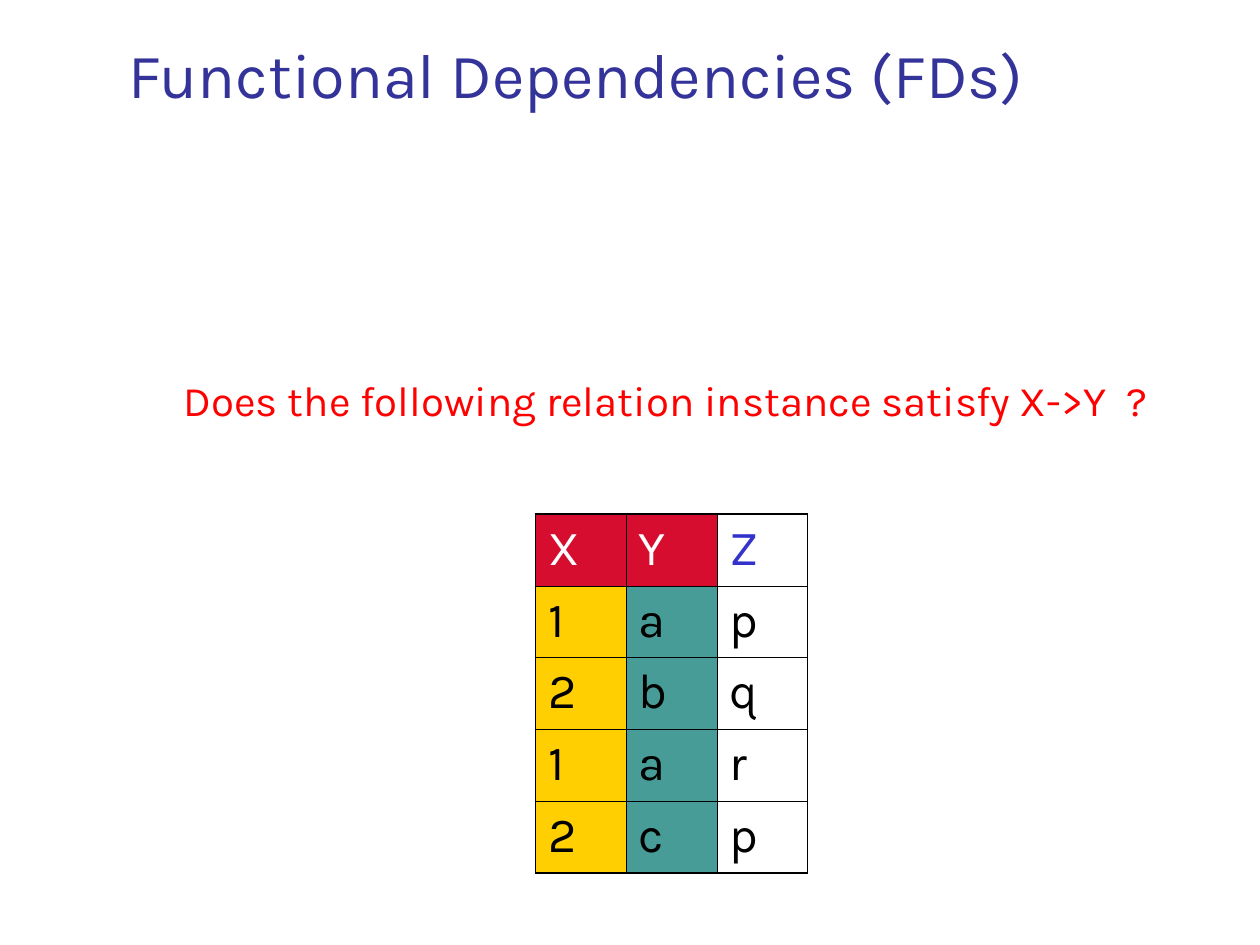
import pptx
import pptx.dml.color
import pptx.enum.text
import pptx.oxml
import pptx.oxml.ns
import pptx.util
from pptx.util import Inches

FONT = "Karla"
BLACK = "000000"
OUTER_LINE, INNER_LINE = 1.08, 0.45
RELATION = ["XYZ", "1ap", "2bq", "1ar", "2cp"]
HEADER_FILLS = ["D70D2F", "D70D2F", None]
HEADER_COLORS = ["FFFFFF", "FFFFFF", "3333CC"]
BODY_FILLS = ["FFCF01", "489C98", None]


def rgb(color):
    return pptx.dml.color.RGBColor.from_string(color)


def write(paragraph, text, size, color):
    paragraph.text = text
    paragraph.font.name = FONT
    paragraph.font.size = pptx.util.Pt(size)
    paragraph.font.color.rgb = rgb(color)


def add_text(slide, text, left, top, width, height, size, color, anchor):
    frame = slide.shapes.add_textbox(
        Inches(left), Inches(top), Inches(width), Inches(height)).text_frame
    frame.word_wrap = True
    frame.vertical_anchor = anchor
    write(frame.paragraphs[0], text, size, color)


def add_border(cell, side, points):
    cell._tc.get_or_add_tcPr().append(pptx.oxml.parse_xml(
        f'<a:ln{side} {pptx.oxml.ns.nsdecls("a")} w="{pptx.util.Pt(points)}">'
        f'<a:solidFill><a:srgbClr val="{BLACK}"/></a:solidFill></a:ln{side}>'))


def style_cell(cell, text, color, fill, outer_sides):
    paragraph = cell.text_frame.paragraphs[0]
    write(paragraph, text, 28, color)
    paragraph.space_before = pptx.util.Pt(7)
    # Borders come before the fill in the cell properties
    for side in "LRTB":
        add_border(cell, side, OUTER_LINE if side in outer_sides else INNER_LINE)
    if fill:
        cell.fill.solid()
        cell.fill.fore_color.rgb = rgb(fill)
    else:
        cell.fill.background()


def add_relation(slide, left, top, column_width, row_height):
    row_count, column_count = len(RELATION), len(RELATION[0])
    table = slide.shapes.add_table(
        row_count, column_count, Inches(left), Inches(top),
        Inches(column_width * column_count),
        Inches(row_height * row_count)).table
    table.horz_banding = False
    table.first_row = False
    for r, values in enumerate(RELATION):
        for c, value in enumerate(values):
            outer_sides = (("L" if c == 0 else "")
                           + ("R" if c == column_count - 1 else "")
                           + ("T" if r == 0 else "")
                           + ("B" if r == row_count - 1 else ""))
            color = HEADER_COLORS[c] if r == 0 else BLACK
            fill = (HEADER_FILLS if r == 0 else BODY_FILLS)[c]
            style_cell(table.cell(r, c), value, color, fill, outer_sides)


def main():
    deck = pptx.Presentation()
    deck.slide_width, deck.slide_height = Inches(10), Inches(7.5)
    slide = deck.slides.add_slide(deck.slide_layouts[6])
    anchors = pptx.enum.text.MSO_ANCHOR

    # Title
    add_text(slide, "Functional Dependencies (FDs)",
             0.92, 0.17, 8.5, 0.83, 36, "333399", anchors.MIDDLE)
    # Relation instance
    add_relation(slide, 4.25, 4.08, 0.72, 0.57)
    # Question
    add_text(slide, "Does the following relation instance satisfy X->Y  ?",
             1.36, 2.92, 8, 0.5, 24, "FF0000", anchors.TOP)

    deck.save("out.pptx")


if __name__ == "__main__":
    main()
